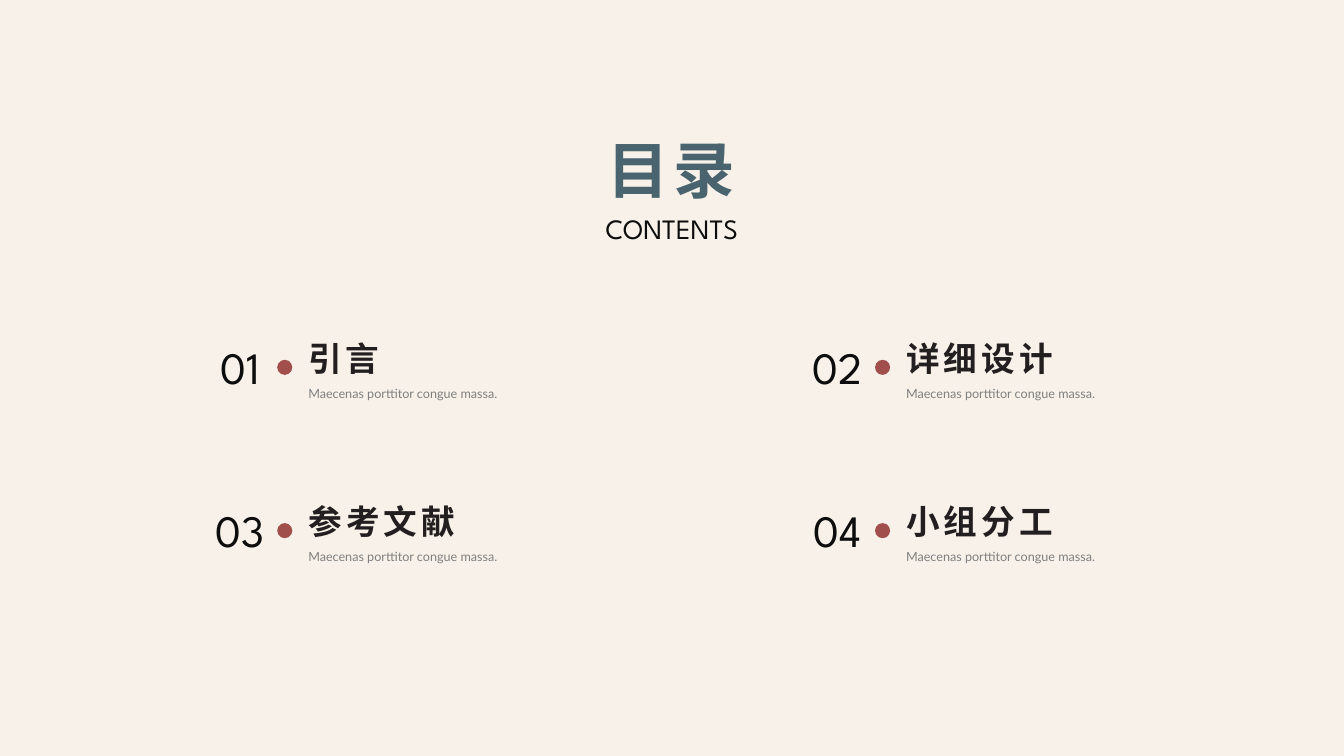
from dataclasses import dataclass

from lxml import etree
from pptx import Presentation
from pptx.dml.color import RGBColor
from pptx.enum.shapes import MSO_SHAPE
from pptx.enum.text import MSO_AUTO_SIZE, PP_ALIGN
from pptx.oxml.ns import qn
from pptx.slide import Slide
from pptx.util import Pt

OVAL = MSO_SHAPE.OVAL
FIT_SHAPE = MSO_AUTO_SIZE.SHAPE_TO_FIT_TEXT
LEFT, CENTER, JUSTIFY = PP_ALIGN.LEFT, PP_ALIGN.CENTER, PP_ALIGN.JUSTIFY

CHINESE_FONT = "Noto Sans CJK SC"
DISPLAY_FONT = "League Spartan"
CAPTION_FONT = "Lato"

COLUMN_LEFT, COLUMN_STEP = 213.1, 427
ROW_TOP, ROW_STEP = 237.6, 116.64
COLUMNS = 2
DOT_SIZE = 10.8
CAPTION = "Maecenas porttitor congue massa."


@dataclass(frozen=True)
class TextStyle:
    font: str
    size: float
    color: str
    align: PP_ALIGN
    bold: bool = False
    letter_spacing: float = 0
    line_spacing: float = 1
    wrap: bool = True


@dataclass(frozen=True)
class Chapter:
    title: str
    width: float


TITLE = TextStyle(CHINESE_FONT, 44, "49646E", CENTER, True, 3, wrap=False)
SUBTITLE = TextStyle(DISPLAY_FONT, 20, "0D0D0D", CENTER)
HEADING = TextStyle(CHINESE_FONT, 24, "231E1F", LEFT, True, 3, wrap=False)
NUMBER = TextStyle(DISPLAY_FONT, 32, "0D0D0D", CENTER)
NOTE = TextStyle(CAPTION_FONT, 9, "808080", JUSTIFY, line_spacing=1.5)

CHAPTERS = [
    Chapter("引言", 69.1),
    Chapter("详细设计", 123.8),
    Chapter("参考文献", 123.8),
    Chapter("小组分工", 123.8),
]


def color(value: str) -> RGBColor:
    return RGBColor.from_string(value)


def add_text(slide: Slide, text: str, style: TextStyle,
             left: float, top: float, width: float, height: float) -> None:
    box = slide.shapes.add_textbox(Pt(left), Pt(top), Pt(width), Pt(height))
    frame = box.text_frame
    frame.word_wrap = style.wrap
    frame.auto_size = FIT_SHAPE
    paragraph = frame.paragraphs[0]
    paragraph.text = text
    paragraph.alignment = style.align
    paragraph.line_spacing = style.line_spacing
    font = paragraph.font
    font.name = style.font
    font.size = Pt(style.size)
    font.bold = style.bold
    font.color.rgb = color(style.color)
    properties = font._element
    properties.set("spc", str(round(style.letter_spacing * 100)))
    etree.SubElement(properties, qn("a:ea"), typeface=style.font)


def add_dot(slide: Slide, left: float, top: float) -> None:
    dot = slide.shapes.add_shape(OVAL, Pt(left), Pt(top), Pt(DOT_SIZE), Pt(DOT_SIZE))
    dot.shadow.inherit = False
    dot.fill.solid()
    dot.fill.fore_color.rgb = color("A14F4C")
    dot.line.fill.background()


def add_chapter(slide: Slide, index: int, chapter: Chapter) -> None:
    row, column = divmod(index, COLUMNS)
    left = COLUMN_LEFT + column * COLUMN_STEP
    top = ROW_TOP + row * ROW_STEP
    add_text(slide, chapter.title, HEADING, left, top, chapter.width, 36)
    add_text(slide, CAPTION, NOTE, left, top + 28.8, 178.6, 21.6)
    add_text(slide, f"{index + 1:02}", NUMBER, left - 72, top + 1.4, 60.5, 46.1)
    add_dot(slide, left - 15.1, top + 19.4)


def main() -> None:
    presentation = Presentation()
    presentation.slide_width = Pt(960)
    presentation.slide_height = Pt(540)
    slide = presentation.slides.add_slide(presentation.slide_layouts[6])
    slide.background.fill.solid()
    slide.background.fill.fore_color.rgb = color("F7F1E9")
    for index, chapter in enumerate(CHAPTERS):
        add_chapter(slide, index, chapter)
    add_text(slide, "目录", TITLE, 424.8, 90.7, 109.4, 60.5)
    add_text(slide, "CONTENTS", SUBTITLE, 387.4, 147.6, 185, 31.7)
    presentation.save("out.pptx")


if __name__ == "__main__":
    main()
